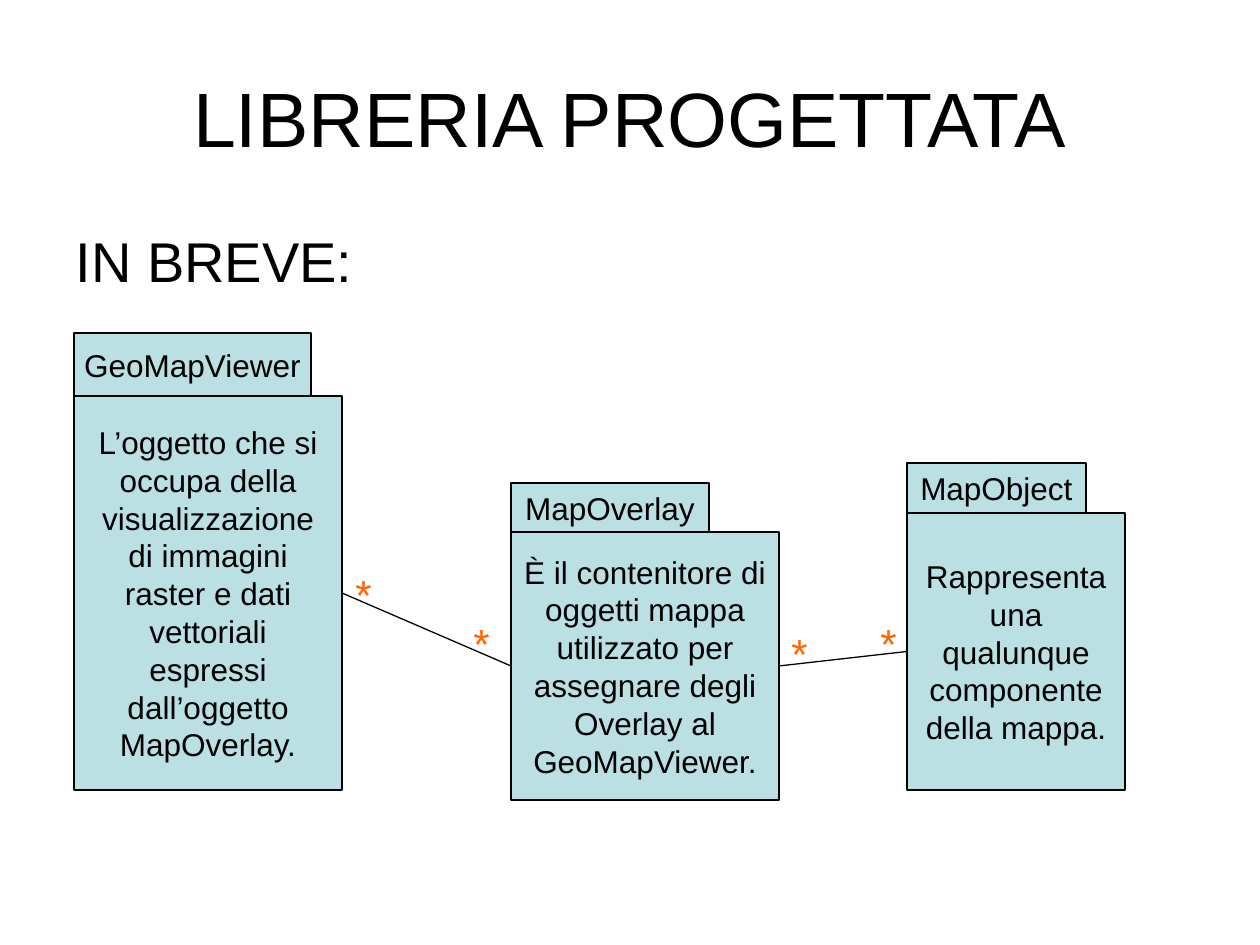
from lxml.etree import SubElement
from pptx import Presentation
from pptx.dml.color import RGBColor
from pptx.enum.shapes import MSO_CONNECTOR, MSO_SHAPE
from pptx.enum.text import MSO_ANCHOR, MSO_AUTO_SIZE, PP_ALIGN
from pptx.oxml.ns import qn
from pptx.util import Pt

EMU_PER_PX = 914400 / 126
FONT = "Arial"
BLACK = RGBColor(0x00, 0x00, 0x00)
ORANGE = RGBColor(0xFF, 0x66, 0x00)
PALE_BLUE = RGBColor(0xBB, 0xE0, 0xE3)
RIGHT_SITE, LEFT_SITE = 3, 1

PACKAGES = [
    ("GeoMapViewer",
     "L’oggetto che si occupa della visualizzazione di immagini raster e dati "
     "vettoriali espressi dall’oggetto MapOverlay.",
     (74, 396, 268, 394), (237, 63)),
    ("MapOverlay",
     "È il contenitore di oggetti mappa utilizzato per assegnare degli Overlay "
     "al GeoMapViewer.",
     (511, 532, 268, 268), (198, 49)),
    ("MapObject",
     "Rappresenta una qualunque componente della mappa.",
     (907, 513, 218, 277), (179, 50)),
]
MULTIPLICITIES = [(461, 611), (343, 562), (779, 621), (868, 611)]


def px(length):
    return round(length * EMU_PER_PX)


def place(box, left, top, width, height):
    box.left, box.top = px(left), px(top)
    box.width, box.height = px(width), px(height)


def write(box, text, size, align, anchor, color=BLACK, wrap=True):
    frame = box.text_frame
    frame.word_wrap = wrap
    frame.vertical_anchor = anchor
    para = frame.paragraphs[0]
    para.alignment = align
    para.space_before = Pt(0)
    span = para.add_run()
    span.text = text
    span.font.name = FONT
    span.font.size = Pt(size)
    span.font.color.rgb = color


def add_rectangle(group, area, text, wrap):
    box = group.shapes.add_shape(MSO_SHAPE.RECTANGLE, *map(px, area))
    box.shadow.inherit = False
    box.fill.solid()
    box.fill.fore_color.rgb = PALE_BLUE
    box.line.color.rgb = BLACK
    box.line.width = Pt(0.75)
    write(box, text, 18, PP_ALIGN.CENTER, MSO_ANCHOR.MIDDLE, wrap=wrap)
    return box


def add_package(page, name, description, area, tab_size):
    left, top = area[:2]
    width, height = tab_size
    group = page.shapes.add_group_shape()
    body = add_rectangle(group, area, description, True)
    add_rectangle(group, (left, top - height, width, height), name, False)
    return body


def add_association(page, source, target):
    line = page.shapes.add_connector(MSO_CONNECTOR.STRAIGHT, 0, 0, 0, 0)
    line.begin_connect(source, RIGHT_SITE)
    line.end_connect(target, LEFT_SITE)
    line.line.color.rgb = BLACK
    line.line.width = Pt(0.75)
    SubElement(line._element.spPr, qn("a:effectLst"))


def add_multiplicity(page, left, top):
    box = page.shapes.add_textbox(px(left), px(top), px(49), px(63))
    write(box, "*", 24, PP_ALIGN.LEFT, MSO_ANCHOR.TOP, ORANGE)
    box.text_frame.auto_size = MSO_AUTO_SIZE.SHAPE_TO_FIT_TEXT


def fill_placeholders(page):
    title, body = page.placeholders
    place(title, 63, 38, 1134, 157)
    write(title, "LIBRERIA PROGETTATA", 44, PP_ALIGN.CENTER, MSO_ANCHOR.MIDDLE)
    place(body, 63, 220, 1134, 624)
    properties = body.text_frame.paragraphs[0]._p.get_or_add_pPr()
    properties.set("marL", str(px(48)))
    properties.set("indent", str(-px(48)))
    SubElement(properties, qn("a:buNone"))
    write(body, "IN BREVE:", 32, PP_ALIGN.LEFT, MSO_ANCHOR.TOP)


def main():
    deck = Presentation()
    deck.slide_width, deck.slide_height = px(1260), px(945)
    page = deck.slides.add_slide(deck.slide_layouts[1])
    fill_placeholders(page)
    bodies = [add_package(page, *package) for package in PACKAGES]
    for source, target in zip(bodies, bodies[1:]):
        add_association(page, source, target)
    for left, top in MULTIPLICITIES:
        add_multiplicity(page, left, top)
    deck.save("out.pptx")


if __name__ == "__main__":
    main()
